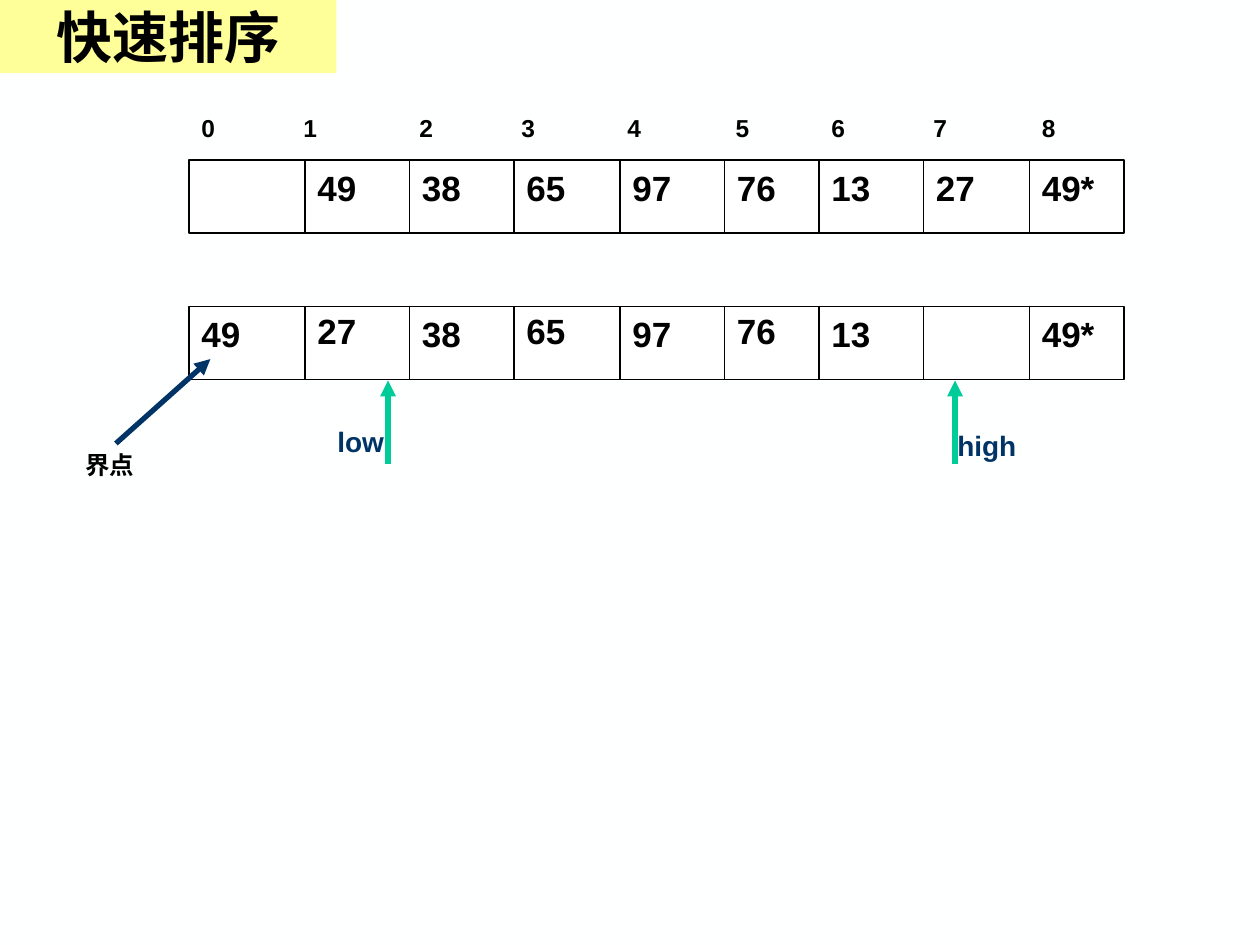
"""Build the quicksort slide with its two array rows and pointers."""
from lxml import etree
from pptx import Presentation
from pptx.dml.color import RGBColor
from pptx.enum.shapes import MSO_CONNECTOR, MSO_SHAPE
from pptx.enum.text import MSO_ANCHOR, MSO_AUTO_SIZE, PP_ALIGN
from pptx.oxml.ns import qn
from pptx.util import Inches, Pt

LINE = MSO_CONNECTOR.STRAIGHT
RECT = MSO_SHAPE.RECTANGLE
MIDDLE = MSO_ANCHOR.MIDDLE
FIXED = MSO_AUTO_SIZE.NONE
CENTER = PP_ALIGN.CENTER

BLACK = RGBColor(0x00, 0x00, 0x00)
WHITE = RGBColor(0xFF, 0xFF, 0xFF)
PAPER = RGBColor(0xFE, 0xFF, 0xFF)
YELLOW = RGBColor(0xFF, 0xFF, 0x99)
NAVY = RGBColor(0x00, 0x33, 0x66)
GREEN = RGBColor(0x00, 0xCC, 0x99)

LEFT, WIDTH, HEIGHT = 1.5, 7.42, 0.58
EDGES = [1.5, 2.42, 3.25, 4.08, 4.92, 5.75, 6.5, 7.33, 8.17]
TABS = [0.81, 1.73, 2.54, 3.38, 4.24, 5, 5.81, 6.67]
ROWS = [
    (2.43, ["49", "27", "38", "65", "97", "76", "13", "", "49*"], (1, 3, 5)),
    (1.27, ["", "49", "38", "65", "97", "76", "13", "27", "49*"], ()),
]
MARKS = [("high", 7.58, 7.5, 3.35), ("low", 3.08, 2.58, 3.32)]


def add_text(shapes, text, place, size, color=BLACK):
    box = shapes.add_textbox(*map(Inches, place))
    box.text_frame.word_wrap = True
    par = box.text_frame.paragraphs[0]
    par.text = text
    style = {"name": "Arial", "size": Pt(size), "bold": True}
    for key, value in style.items():
        setattr(par.runs[0].font, key, value)
    par.runs[0].font.color.rgb = color
    return par


def add_line(shapes, ends, color, width, arrow=False):
    line = shapes.add_connector(LINE, *map(Inches, ends))
    line.line.color.rgb = color
    line.line.width = Pt(width)
    props = line._element.spPr
    if arrow:
        etree.SubElement(props.find(qn("a:ln")), qn("a:tailEnd"), type="triangle")
    etree.SubElement(props, qn("a:effectLst"))


deck = Presentation()
deck.slide_width, deck.slide_height = Inches(10), Inches(7.5)
slide = deck.slides.add_slide(deck.slide_layouts[5])
slide.background.fill.solid()
slide.background.fill.fore_color.rgb = PAPER

title = slide.shapes.title
spot = {"left": 0, "top": 0, "width": 2.67, "height": HEIGHT}
for key, value in spot.items():
    setattr(title, key, Inches(value))
title.fill.solid()
title.fill.fore_color.rgb = YELLOW
frame = title.text_frame
frame.text = "快速排序"
frame.auto_size = FIXED
frame.vertical_anchor = MIDDLE
head = frame.paragraphs[0]
head.alignment = CENTER
style = {"name": "Times New Roman", "size": Pt(32), "bold": True}
for key, value in style.items():
    setattr(head.runs[0].font, key, value)
head.runs[0].font.color.rgb = BLACK

for top, values, raised in ROWS:
    group = slide.shapes.add_group_shape().shapes
    frame = group.add_shape(RECT, *map(Inches, (LEFT, top, WIDTH, HEIGHT)))
    frame.shadow.inherit = False
    frame.fill.solid()
    frame.fill.fore_color.rgb = WHITE
    frame.line.color.rgb = BLACK
    frame.line.width = Pt(0.75)
    for edge in EDGES[1:]:
        add_line(group, (edge, top, edge, top + HEIGHT), BLACK, 0.75)
    for i, (edge, value) in enumerate(zip(EDGES, values)):
        if value:
            rise = 0.02 if i in raised else 0
            add_text(slide.shapes, value, (edge, top - rise, 0.67, 0.44), 20)

index = add_text(slide.shapes, "\t".join(map(str, range(9))),
                 (LEFT, 0.85, WIDTH, 0.34), 14)
stops = etree.SubElement(index._p.get_or_add_pPr(), qn("a:tabLst"))
for tab in TABS:
    etree.SubElement(stops, qn("a:tab"), pos=str(Inches(tab)), algn="l")

for name, x, left, top in MARKS:
    group = slide.shapes.add_group_shape().shapes
    add_line(group, (x, 3.68, x, 3.02), GREEN, 3, True)
    add_text(group, name, (left, top, 0.92, 0.37), 16, NAVY)

add_text(slide.shapes, "界点", (0.58, 3.52, 0.83, 0.34), 14)
add_line(slide.shapes, (0.92, 3.52, 1.67, 2.85), NAVY, 3, True)

deck.save("out.pptx")
